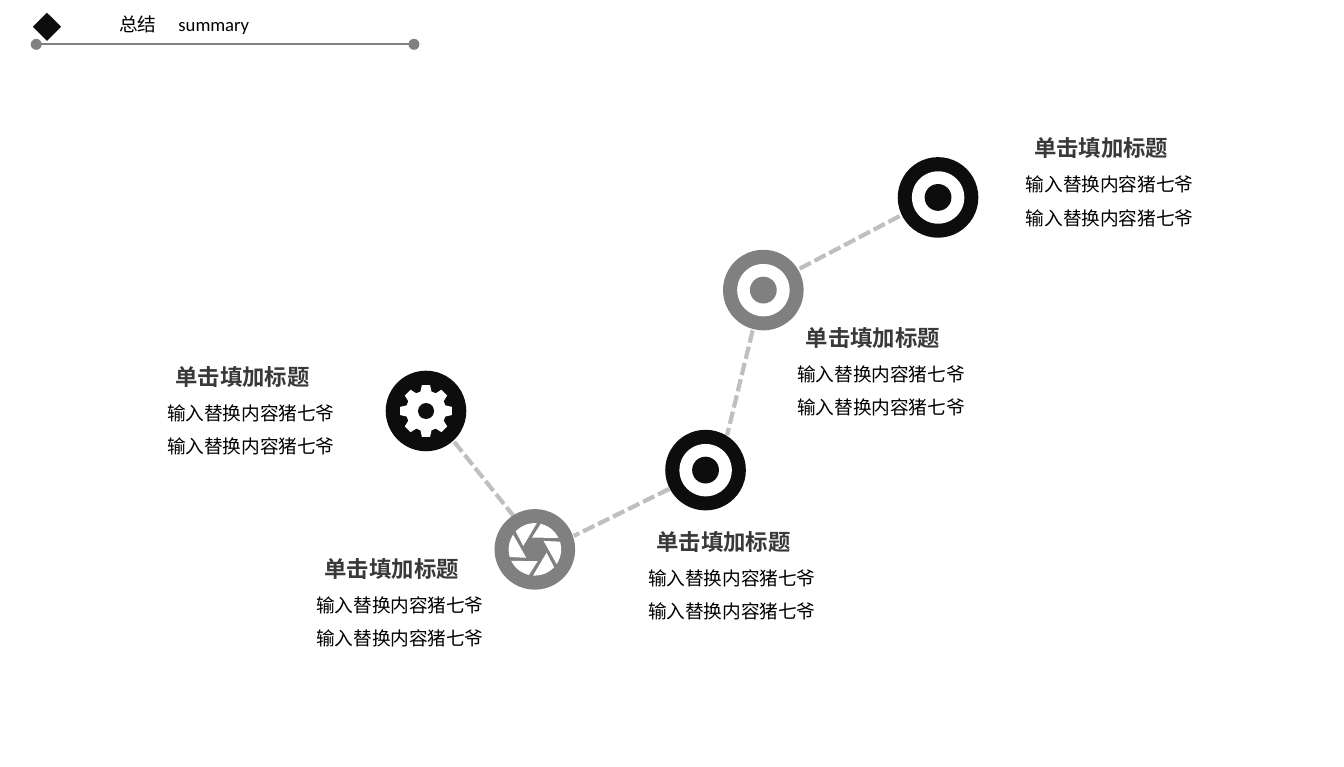
"""Build a summary slide with five linked round icons and captions."""
from dataclasses import dataclass
from math import cos, radians, sin
from typing import Optional

from lxml.etree import SubElement
from pptx import Presentation
from pptx.dml.color import RGBColor
from pptx.enum.dml import MSO_LINE
from pptx.enum.shapes import MSO_CONNECTOR, MSO_SHAPE
from pptx.enum.text import MSO_AUTO_SIZE, PP_ALIGN
from pptx.oxml.ns import qn
from pptx.util import Inches, Pt

Point = tuple[float, float]


@dataclass(frozen=True)
class Theme:
    black: str = "0D0D0D"
    gray: str = "808080"
    pale: str = "BFBFBF"
    white: str = "FFFFFF"
    ink: str = "000000"
    title: str = "3B3838"
    latin: str = "Calibri"
    han: str = "Noto Sans CJK SC"
    small: int = 10
    large: int = 12
    lead: int = 12


@dataclass(frozen=True)
class Stop:
    x: float
    y: float
    color: str
    icon: str
    note: Point


@dataclass(frozen=True)
class Link:
    start: Point
    end: Point


@dataclass(frozen=True)
class Style:
    size: int
    color: str
    font: str
    bold: bool = False
    lead: Optional[int] = None
    align: PP_ALIGN = PP_ALIGN.LEFT
    gap: int = 0
    inset: bool = True
    wrap: bool = True


THEME = Theme()
HEAD = Style(THEME.small, THEME.ink, THEME.han, lead=THEME.lead)
LABEL = Style(THEME.small, THEME.ink, THEME.latin, wrap=False)
BODY = Style(THEME.small, THEME.ink, THEME.han, lead=THEME.lead,
             align=PP_ALIGN.CENTER, gap=6)
TITLE = Style(THEME.large, THEME.title, THEME.han, bold=True,
              align=PP_ALIGN.CENTER, inset=False)
DISC, HOLE, DOT = 0.6, 0.39, 0.2
STOPS = [
    Stop(3.17, 3.06, THEME.black, "gear", (0.79, 2.94)),
    Stop(3.98, 4.09, THEME.gray, "blades", (1.9, 4.37)),
    Stop(5.25, 3.5, THEME.black, "dot", (4.37, 4.17)),
    Stop(5.68, 2.16, THEME.gray, "dot", (5.48, 2.65)),
    Stop(6.98, 1.47, THEME.black, "dot", (7.18, 1.24)),
]
LINKS = [
    Link((3.38, 3.29), (3.82, 3.84)),
    Link((4.98, 3.64), (4.27, 3.99)),
    Link((5.6, 2.46), (5.41, 3.24)),
    Link((5.95, 2), (6.71, 1.6)),
]


def paint(shape, color: str) -> None:
    shape.fill.solid()
    shape.fill.fore_color.rgb = RGBColor.from_string(color)
    shape.line.fill.background()
    shape.shadow.inherit = False


def place(shapes, kind: MSO_SHAPE, mid: Point, size: float, color: str) -> None:
    left, top = (Inches(v - size / 2) for v in mid)
    paint(shapes.add_shape(kind, left, top, Inches(size), Inches(size)), color)


def trace(shapes, mid: Point, polar: list[Point], color: str) -> None:
    points = [(Inches(mid[0] + r * cos(radians(a))),
               Inches(mid[1] + r * sin(radians(a)))) for r, a in polar]
    pen = shapes.build_freeform(*points[0])
    pen.add_line_segments(points[1:], close=True)
    paint(pen.convert_to_shape(), color)


def join(shapes, link: Link, color: str, width: float, dash: bool) -> None:
    ends = [Inches(v) for v in link.start + link.end]
    line = shapes.add_connector(MSO_CONNECTOR.STRAIGHT, *ends)
    line.line.color.rgb = RGBColor.from_string(color)
    line.line.width = Pt(width)
    props = line._element.spPr
    if dash:
        line.line.dash_style = MSO_LINE.SQUARE_DOT
    else:
        for tag in ("a:headEnd", "a:tailEnd"):
            SubElement(props.find(qn("a:ln")), qn(tag), type="oval")
    SubElement(props, qn("a:effectLst"))


def write(shapes, area: tuple[float, ...], text: str, style: Style) -> None:
    frame = shapes.add_textbox(*(Inches(v) for v in area)).text_frame
    frame.text = text
    frame.word_wrap = style.wrap
    frame.auto_size = MSO_AUTO_SIZE.SHAPE_TO_FIT_TEXT
    if not style.inset:
        frame.margin_left = frame.margin_right = 0
        frame.margin_top = frame.margin_bottom = 0
    for rank, para in enumerate(frame.paragraphs):
        para.alignment = style.align
        if rank:
            para.space_before = Pt(style.gap)
        if style.lead:
            para.line_spacing = Pt(style.lead)
        for run in para.runs:
            run.font.name = style.font
            run.font.size = Pt(style.size)
            run.font.bold = style.bold
            run.font.color.rgb = RGBColor.from_string(style.color)
            SubElement(run.font._element, qn("a:ea"), typeface=style.font)


def draw_icon(shapes, stop: Stop) -> None:
    mid, rim = (stop.x, stop.y), HOLE / 2
    place(shapes, MSO_SHAPE.OVAL, mid, DISC, stop.color)
    if stop.icon == "gear":
        tooth = [(0.15, -16), (rim, -9), (rim, 9), (0.15, 16)]
        teeth = [(r, a + turn) for turn in range(0, 360, 45) for r, a in tooth]
        trace(shapes, mid, teeth, THEME.white)
        place(shapes, MSO_SHAPE.OVAL, mid, 0.12, stop.color)
    elif stop.icon == "blades":
        blade = [(0.09, 196)] + [(rim, a) for a in range(223, 275, 3)]
        for turn in range(0, 360, 60):
            trace(shapes, mid, [(r, a + turn) for r, a in blade], THEME.white)
    else:
        place(shapes, MSO_SHAPE.OVAL, mid, HOLE, THEME.white)
        place(shapes, MSO_SHAPE.OVAL, mid, DOT, stop.color)


def draw_note(shapes, spot: Point) -> None:
    x, y = spot
    write(shapes, (x, y, 2.15, 0.52), "输入替换内容猪七爷\n输入替换内容猪七爷", BODY)
    write(shapes, (x + 0.33, y - 0.24, 1.37, 0.23), "单击填加标题", TITLE)


def main() -> None:
    deck = Presentation()
    deck.slide_width, deck.slide_height = Inches(10), Inches(5.71)
    shapes = deck.slides.add_slide(deck.slide_layouts[6]).shapes
    join(shapes, Link((0.27, 0.33), (3.08, 0.33)), THEME.gray, 1, False)
    place(shapes, MSO_SHAPE.DIAMOND, (0.35, 0.2), 0.21, THEME.black)
    write(shapes, (0.79, 0.05, 2.93, 0.27), "总结", HEAD)
    write(shapes, (1.23, 0.05, 0.73, 0.27), "summary", LABEL)
    for link in LINKS:
        join(shapes, link, THEME.pale, 2.25, True)
    for stop in STOPS:
        draw_icon(shapes, stop)
    for stop in STOPS:
        draw_note(shapes, stop.note)
    deck.save("out.pptx")


if __name__ == "__main__":
    main()
